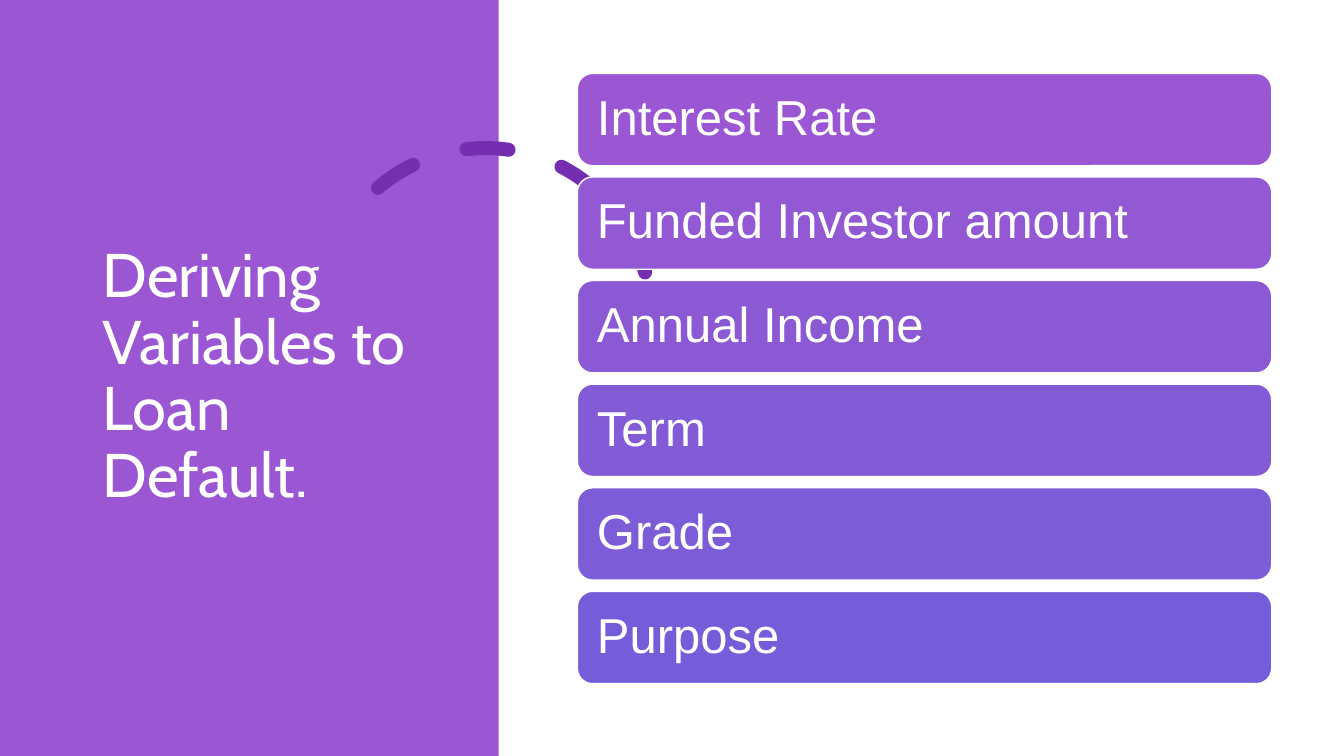
"""Build a slide with a title panel and a stack of loan default variables."""
from pptx import Presentation
from pptx.dml.color import RGBColor
from pptx.enum.dml import MSO_LINE
from pptx.enum.shapes import MSO_SHAPE
from pptx.enum.text import MSO_ANCHOR, PP_ALIGN
from pptx.util import Pt

SLIDE_WIDTH, SLIDE_HEIGHT = 960, 540
COLORS = {
    "white": "FFFFFF",
    "panel": "9B57D3",
    "arc": "762EB1",
    "Interest Rate": "9B57D3",
    "Funded Investor amount": "9358D4",
    "Annual Income": "8C59D5",
    "Term": "845BD7",
    "Grade": "7D5CD8",
    "Purpose": "755DD9",
}
VARIABLES = ["Interest Rate", "Funded Investor amount", "Annual Income",
             "Term", "Grade", "Purpose"]


def color(name):
    """Return the named colour."""
    return RGBColor.from_string(COLORS[name])


def add_filled_shape(slide, kind, box, fill):
    """Add a flat filled shape without an outline."""
    shape = slide.shapes.add_shape(kind, *map(Pt, box))
    shape.shadow.inherit = False
    shape.fill.solid()
    shape.fill.fore_color.rgb = color(fill)
    shape.line.fill.background()
    return shape


def write_text(shape, text, font_name, size):
    """Write one white, left-aligned, vertically centred paragraph."""
    frame = shape.text_frame
    frame.word_wrap = True
    frame.vertical_anchor = MSO_ANCHOR.MIDDLE
    paragraph = frame.paragraphs[0]
    paragraph.text = text
    paragraph.alignment = PP_ALIGN.LEFT
    paragraph.line_spacing = 0.9
    paragraph.font.name = font_name
    paragraph.font.size = Pt(size)
    paragraph.font.color.rgb = color("white")


def add_title_panel(slide, left, top, width, height):
    """Add the coloured panel, its dashed arc and the title."""
    add_filled_shape(slide, MSO_SHAPE.RECTANGLE, (left, top, width, height), "panel")

    arc = slide.shapes.add_shape(
        MSO_SHAPE.ARC, Pt(left + 229), Pt(top + 105.8), Pt(235.4), Pt(235.4))
    arc.shadow.inherit = False
    arc.fill.background()
    arc.adjustments[0] = 146.13
    arc.adjustments[1] = 0
    arc.rotation = 345.8
    arc.line.color.rgb = color("arc")
    arc.line.width = Pt(10)
    arc.line.dash_style = MSO_LINE.DASH
    arc.line._get_or_add_ln().set("cap", "rnd")

    title = slide.shapes.add_textbox(
        Pt(left + 66.2), Pt(top + 50.4), Pt(232.6), Pt(438.5))
    write_text(title, "Deriving Variables to Loan Default.", "Cabin", 44)


def add_variable_list(slide, left, top, width, height):
    """Stack one rounded bar per variable in the box."""
    bar_height = 66
    pitch = (height - bar_height) / (len(VARIABLES) - 1)
    for index, variable in enumerate(VARIABLES):
        box = (left, top + index * pitch, width, bar_height)
        bar = add_filled_shape(slide, MSO_SHAPE.ROUNDED_RECTANGLE, box, variable)
        bar.line.color.rgb = color("white")
        bar.line.width = Pt(1)
        bar.text_frame.margin_left = bar.text_frame.margin_right = Pt(10.8)
        bar.text_frame.margin_top = bar.text_frame.margin_bottom = Pt(10.8)
        write_text(bar, variable, "Arial", 35)


def main():
    """Build and save the presentation."""
    presentation = Presentation()
    presentation.slide_width = Pt(SLIDE_WIDTH)
    presentation.slide_height = Pt(SLIDE_HEIGHT)
    slide = presentation.slides.add_slide(presentation.slide_layouts[6])
    slide.background.fill.solid()
    slide.background.fill.fore_color.rgb = color("white")
    add_title_panel(slide, 0, 0, 356.2, SLIDE_HEIGHT)
    add_variable_list(slide, 412.4, 52.4, 496, 436)
    presentation.save("out.pptx")


if __name__ == "__main__":
    main()
